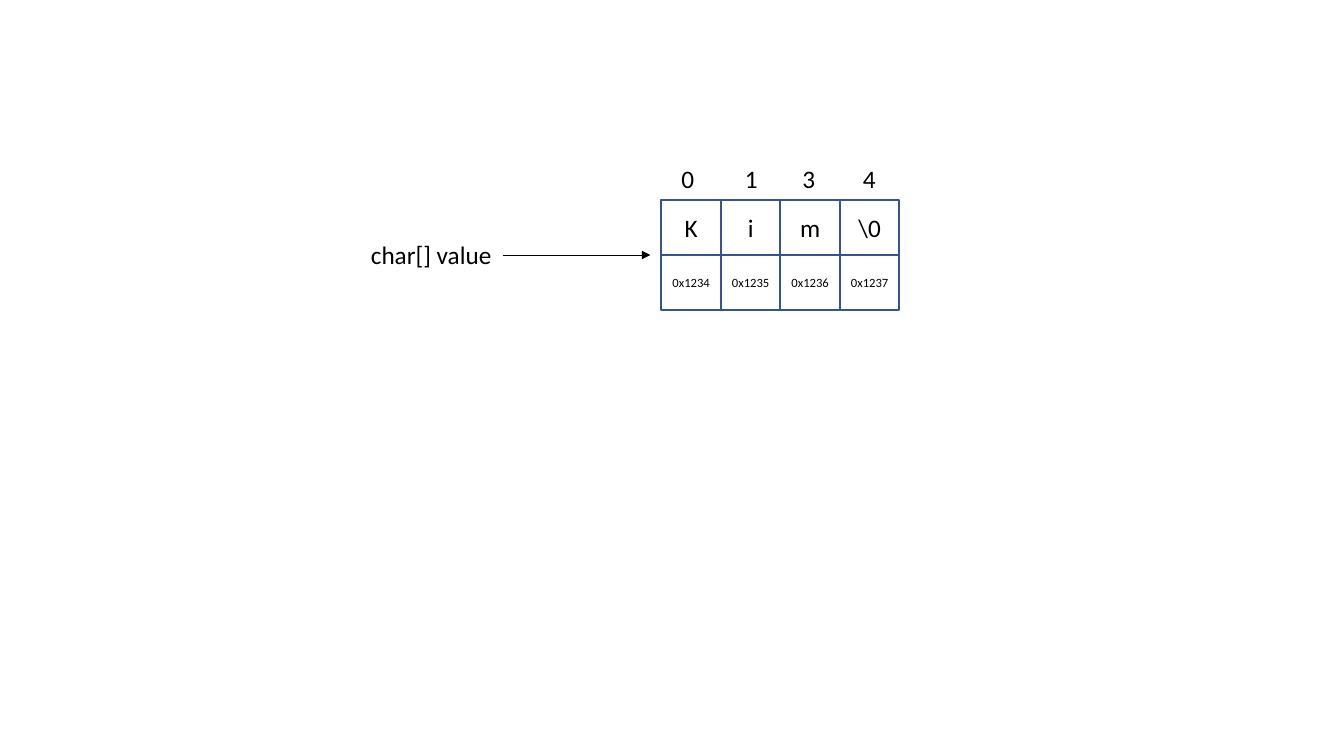
"""Draw a char array in memory: indices, characters and addresses."""
from lxml import etree
from pptx import Presentation
from pptx import util as u
from pptx.dml.color import RGBColor
from pptx.enum import shapes, text
from pptx.oxml import ns

COLORS = {"ink": "000000", "border": "325491", "cell": "FFFFFF"}
FONT = "Calibri"
CELL_W, CELL_H = 0.59, 0.55
GRID_LEFT, GRID_TOP = 6.56, 1.98
COLUMNS = [
    ("0", 6.66, "K", "0x1234"),
    ("1", 7.29, "i", "0x1235"),
    ("3", 7.86, "m", "0x1236"),
    ("4", 8.46, "\\0", "0x1237"),
]


def rgb(name):
    """Return the named palette colour."""
    return RGBColor.from_string(COLORS[name])


def write(tf, content, size):
    """Fill a text frame with one styled paragraph and return it."""
    p = tf.paragraphs[0]
    p.text = content
    p.font.size = u.Pt(size)
    p.font.name = FONT
    p.font.color.rgb = rgb("ink")
    return p


def add_cell(s, left, top, content, size):
    """Add a bordered memory cell with centred text."""
    sp = s.shapes.add_shape(
        shapes.MSO_SHAPE.RECTANGLE,
        u.Inches(left), u.Inches(top), u.Inches(CELL_W), u.Inches(CELL_H))
    sp.shadow.inherit = False
    sp.fill.solid()
    sp.fill.fore_color.rgb = rgb("cell")
    sp.line.color.rgb = rgb("border")
    sp.line.width = u.Pt(1.5)
    tf = sp.text_frame
    tf.margin_left = tf.margin_right = 0
    tf.vertical_anchor = text.MSO_ANCHOR.MIDDLE
    write(tf, content, size).alignment = text.PP_ALIGN.CENTER


def add_label(s, left, top, width, content):
    """Add a plain one-line label."""
    sp = s.shapes.add_textbox(
        u.Inches(left), u.Inches(top), u.Inches(width), u.Inches(0.4))
    tf = sp.text_frame
    tf.word_wrap = False
    tf.auto_size = text.MSO_AUTO_SIZE.SHAPE_TO_FIT_TEXT
    write(tf, content, 18).alignment = text.PP_ALIGN.LEFT


def add_arrow(s, x1, x2, y):
    """Add a thin horizontal arrow pointing at x2."""
    sp = s.shapes.add_connector(
        shapes.MSO_CONNECTOR.STRAIGHT,
        u.Inches(x1), u.Inches(y), u.Inches(x2), u.Inches(y))
    sp.line.color.rgb = rgb("ink")
    sp.line.width = u.Pt(0.5)
    etree.SubElement(sp.line._get_or_add_ln(), ns.qn("a:tailEnd"), type="triangle")
    etree.SubElement(sp._element.spPr, ns.qn("a:effectLst"))


def main():
    """Build the slide and save it."""
    prs = Presentation()
    prs.slide_width, prs.slide_height = u.Inches(13.33), u.Inches(7.5)
    s = prs.slides.add_slide(prs.slide_layouts[6])
    middle = GRID_TOP + CELL_H
    for i, (index, index_left, char, address) in enumerate(COLUMNS):
        left = GRID_LEFT + i * CELL_W
        add_label(s, index_left, 1.57, 0.33, index)
        add_cell(s, left, GRID_TOP, char, 18)
        add_cell(s, left, middle, address, 9)
    add_label(s, 3.58, 2.33, 1.41, "char[] value")
    add_arrow(s, 4.99, 6.45, middle)
    prs.save("out.pptx")


if __name__ == "__main__":
    main()
